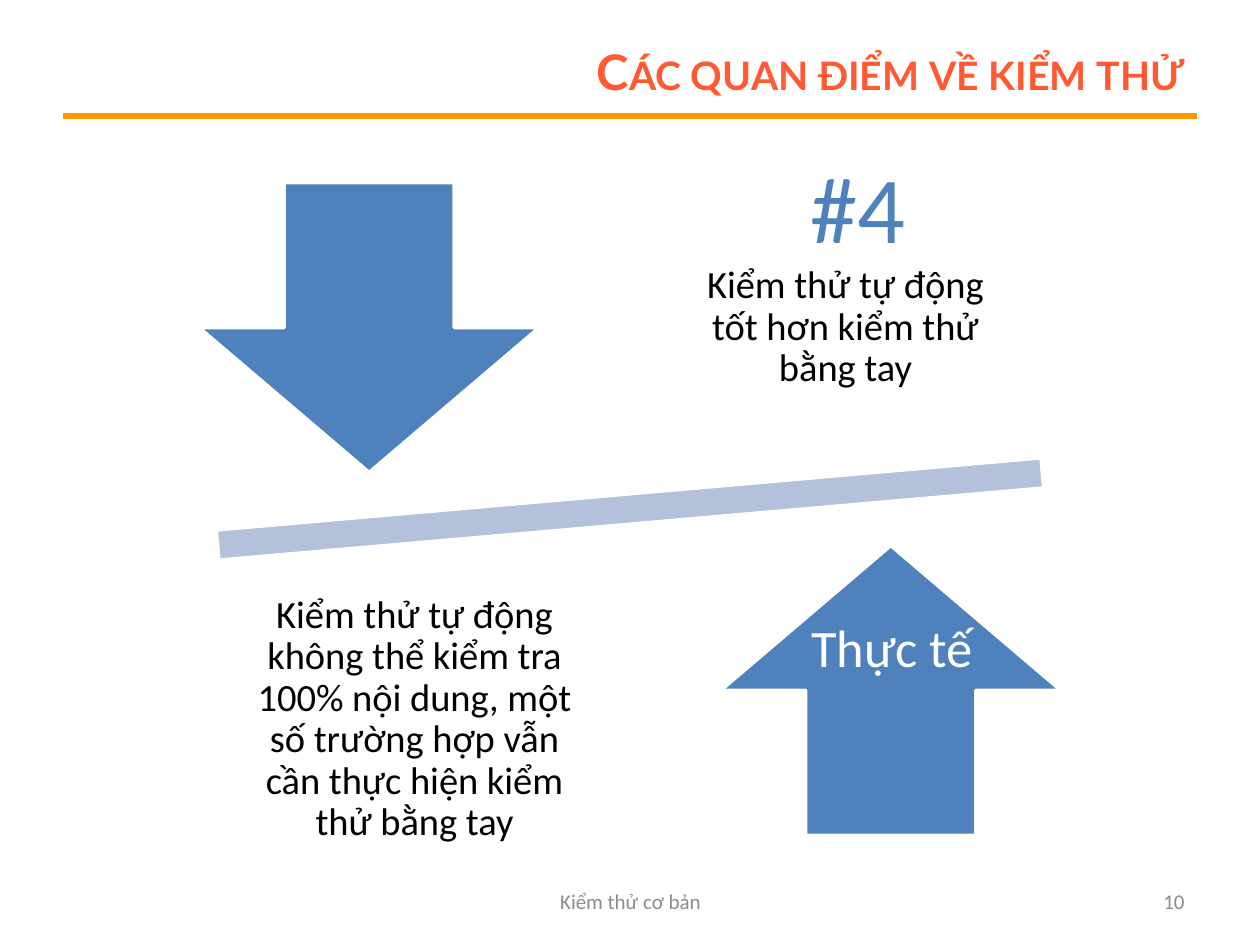
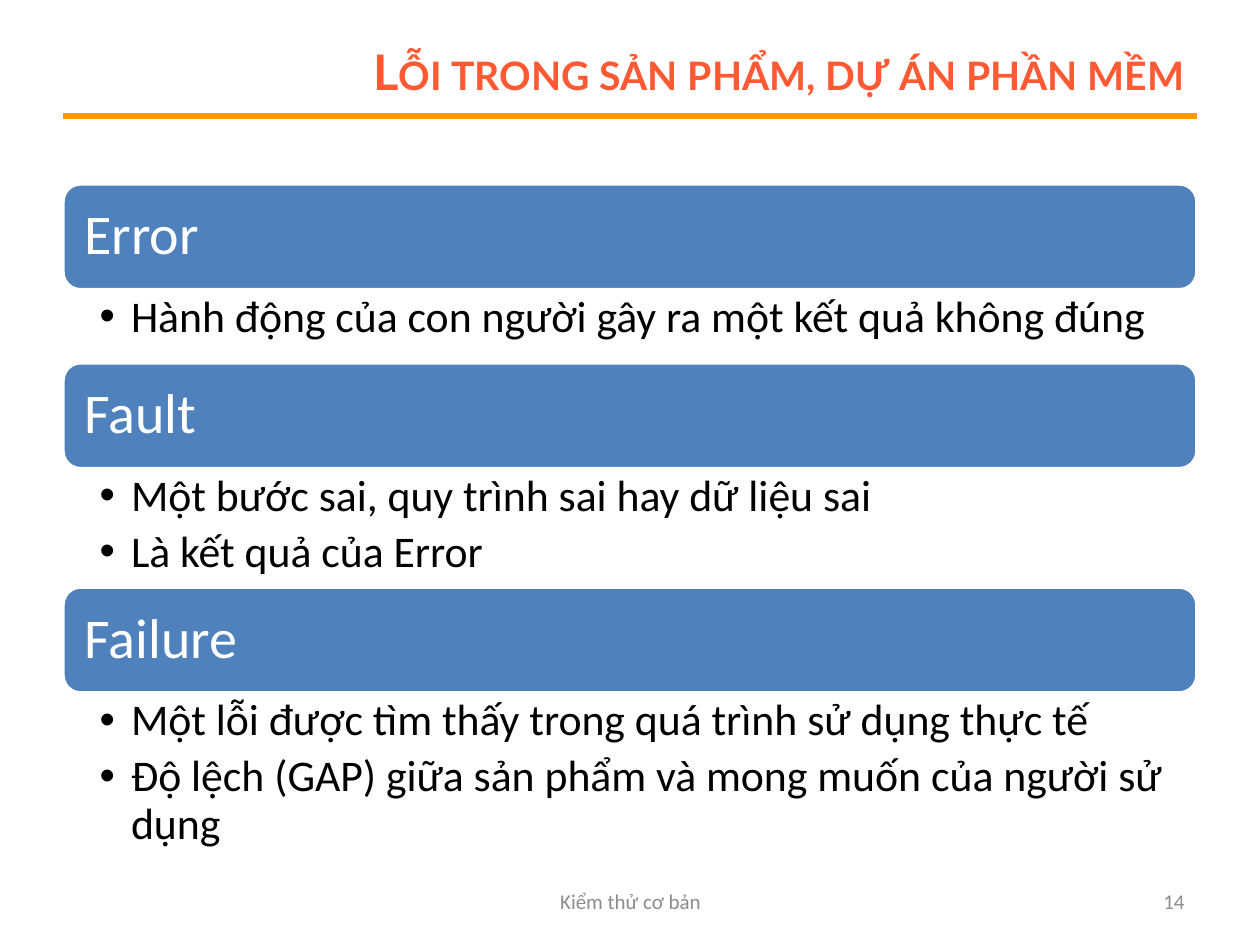
from lxml import etree
from pptx import Presentation
from pptx.dml.color import RGBColor
from pptx.enum.shapes import MSO_CONNECTOR, MSO_SHAPE
from pptx.enum.text import MSO_ANCHOR, MSO_AUTO_SIZE, PP_ALIGN
from pptx.oxml.ns import qn
from pptx.util import Inches, Pt

# Shared look
ORANGE_RED = RGBColor(0xFF, 0x5A, 0x33)
ORANGE = RGBColor(0xFF, 0x99, 0x00)
BLUE = RGBColor(0x4F, 0x81, 0xBD)
PALE_BLUE = RGBColor(0xB3, 0xC1, 0xDB)
GRAY = RGBColor(0x8C, 0x8C, 0x8C)
BLACK = RGBColor(0x00, 0x00, 0x00)
WHITE = RGBColor(0xFF, 0xFF, 0xFF)
TITLE_FONT, BODY_FONT = "Lato", "Calibri"
FOOTER = "Kiểm thử cơ bản"
COMPARISON_LAYOUT, TITLE_ONLY_LAYOUT = 4, 5

# Stack of headings and lists
STACK_LEFT, STACK_TOP, STACK_WIDTH = 0.5, 1.46, 9
HEADING_HEIGHT = 0.84
DEFECT_TERMS = [
    ("Error", 0.58, ["Hành động của con người gây ra một kết quả không đúng"]),
    ("Fault", 0.94, ["Một bước sai, quy trình sai hay dữ liệu sai",
                     "Là kết quả của Error"]),
    ("Failure", 1.34, ["Một lỗi được tìm thấy trong quá trình sử dụng thực tế",
                       "Độ lệch (GAP) giữa sản phẩm và mong muốn của người sử dụng"]),
]


def place(element, left, top, width, height):
    element.left, element.top = Inches(left), Inches(top)
    element.width, element.height = Inches(width), Inches(height)


def set_frame(frame, anchor, insets=(0.1, 0.05, 0.1, 0.05), wrap=True):
    frame.auto_size = MSO_AUTO_SIZE.NONE
    frame.word_wrap = wrap
    frame.vertical_anchor = anchor
    (frame.margin_left, frame.margin_top,
     frame.margin_right, frame.margin_bottom) = map(Inches, insets)


def write(paragraph, text, size, color, align=PP_ALIGN.LEFT, font=BODY_FONT,
          bold=False, spacing=None, after=0):
    paragraph.alignment = align
    paragraph.space_before = Pt(0)
    paragraph.space_after = Pt(after)
    if spacing:
        paragraph.line_spacing = spacing
    run = paragraph.add_run()
    run.text = text
    run.font.size, run.font.name, run.font.bold = Pt(size), font, bold
    run.font.color.rgb = color
    return run


def add_text(slide, box, text, size, color, align=PP_ALIGN.CENTER,
             anchor=MSO_ANCHOR.MIDDLE, insets=(0.1, 0.05, 0.1, 0.05),
             wrap=True, **style):
    frame = slide.shapes.add_textbox(*map(Inches, box)).text_frame
    set_frame(frame, anchor, insets, wrap)
    write(frame.paragraphs[0], text, size, color, align, **style)


def add_block(slide, kind, box, fill):
    block = slide.shapes.add_shape(kind, *map(Inches, box))
    block.shadow.inherit = False
    block.fill.solid()
    block.fill.fore_color.rgb = fill
    block.line.color.rgb = WHITE
    block.line.width = Pt(2)
    return block


def add_statement(slide, box, text, top_inset=0.17):
    add_text(slide, box, text, 22, BLACK, insets=(0.17, top_inset, 0.17, 0.17),
             spacing=0.9, after=7.7)


def start_slide(prs, layout, title, number):
    slide = prs.slides.add_slide(prs.slide_layouts[layout])

    # Rule under the title
    rule = slide.shapes.add_connector(
        MSO_CONNECTOR.STRAIGHT, Inches(0.5), Inches(0.92), Inches(9.5), Inches(0.92))
    rule.line.color.rgb = ORANGE
    rule.line.width = Pt(3)
    etree.SubElement(rule._element.spPr, qn("a:effectLst"))

    # Title in small capitals
    heading = slide.shapes.title
    place(heading, 2.25, 0.3, 7.25, 0.53)
    set_frame(heading.text_frame, MSO_ANCHOR.MIDDLE)
    run = write(heading.text_frame.paragraphs[0], title, 28, ORANGE_RED,
                PP_ALIGN.RIGHT, TITLE_FONT, bold=True)
    run.font._element.set("cap", "small")

    # Footer and page number
    add_text(slide, (3.42, 6.95, 3.17, 0.4), FOOTER, 12, GRAY)
    add_text(slide, (7.17, 6.95, 2.33, 0.4), number, 12, GRAY, PP_ALIGN.RIGHT)
    return slide


def fill_list(placeholder, box, items):
    place(placeholder, *box)
    frame = placeholder.text_frame
    set_frame(frame, MSO_ANCHOR.TOP, (0.29, 0.04, 0.25, 0.04))
    for index, item in enumerate(items):
        paragraph = frame.add_paragraph() if index else frame.paragraphs[0]
        write(paragraph, item, 25, BLACK, spacing=0.9, after=5)
        properties = paragraph._p.get_or_add_pPr()
        properties.set("marL", str(Inches(0.25)))
        properties.set("indent", str(Inches(-0.25)))
        etree.SubElement(properties, qn("a:buFont"), typeface="Arial")
        etree.SubElement(properties, qn("a:buChar"), char="•")


def build_viewpoint(prs):
    slide = start_slide(prs, TITLE_ONLY_LAYOUT, "Các quan điểm về kiểm thử", "10")

    # Tilted bar between the opposing arrows
    bar = add_block(slide, MSO_SHAPE.MATH_MINUS, (0.53, 3.53, 8.94, 1.02), PALE_BLUE)
    bar.rotation = 355
    add_block(slide, MSO_SHAPE.DOWN_ARROW, (1.58, 1.45, 2.7, 2.3), BLUE)
    add_block(slide, MSO_SHAPE.UP_ARROW, (5.72, 4.33, 2.7, 2.3), BLUE)

    # Viewpoint, leaving room for its number, and reality
    add_statement(slide, (5.27, 1.17, 2.88, 2.42),
                  "Kiểm thử tự động tốt hơn kiểm thử bằng tay", top_inset=0.61)
    add_statement(slide, (1.85, 4.5, 2.88, 2.42),
                  "Kiểm thử tự động không thể kiểm tra 100% nội dung, một số "
                  "trường hợp vẫn cần thực hiện kiểm thử bằng tay")

    # Labels
    add_text(slide, (6.33, 1.13, 0.96, 1.01), "#4", 54, BLUE,
             anchor=MSO_ANCHOR.TOP, wrap=False)
    add_text(slide, (6.33, 4.83, 1.5, 0.61), "Thực tế", 30, WHITE,
             anchor=MSO_ANCHOR.TOP, wrap=False)


def build_defect_terms(prs):
    slide = start_slide(prs, COMPARISON_LAYOUT,
                        "Lỗi trong sản phẩm, dự án phần mềm", "14")
    list_slots = list(slide.placeholders)[1:]
    top = STACK_TOP
    for slot, (term, list_height, items) in zip(list_slots, DEFECT_TERMS):
        band = add_block(slide, MSO_SHAPE.ROUNDED_RECTANGLE,
                         (STACK_LEFT, top, STACK_WIDTH, HEADING_HEIGHT), BLUE)
        set_frame(band.text_frame, MSO_ANCHOR.MIDDLE, (0.13,) * 4)
        write(band.text_frame.paragraphs[0], term, 32, WHITE, spacing=0.9, after=11.2)
        top += HEADING_HEIGHT
        fill_list(slot, (STACK_LEFT, top, STACK_WIDTH, list_height), items)
        top += list_height

    # Unused list slots
    for slot in list_slots[len(DEFECT_TERMS):]:
        slot._element.getparent().remove(slot._element)


def main():
    prs = Presentation()
    prs.slide_width, prs.slide_height = Inches(10), Inches(7.5)
    build_viewpoint(prs)
    build_defect_terms(prs)
    prs.save("out.pptx")


if __name__ == "__main__":
    main()
